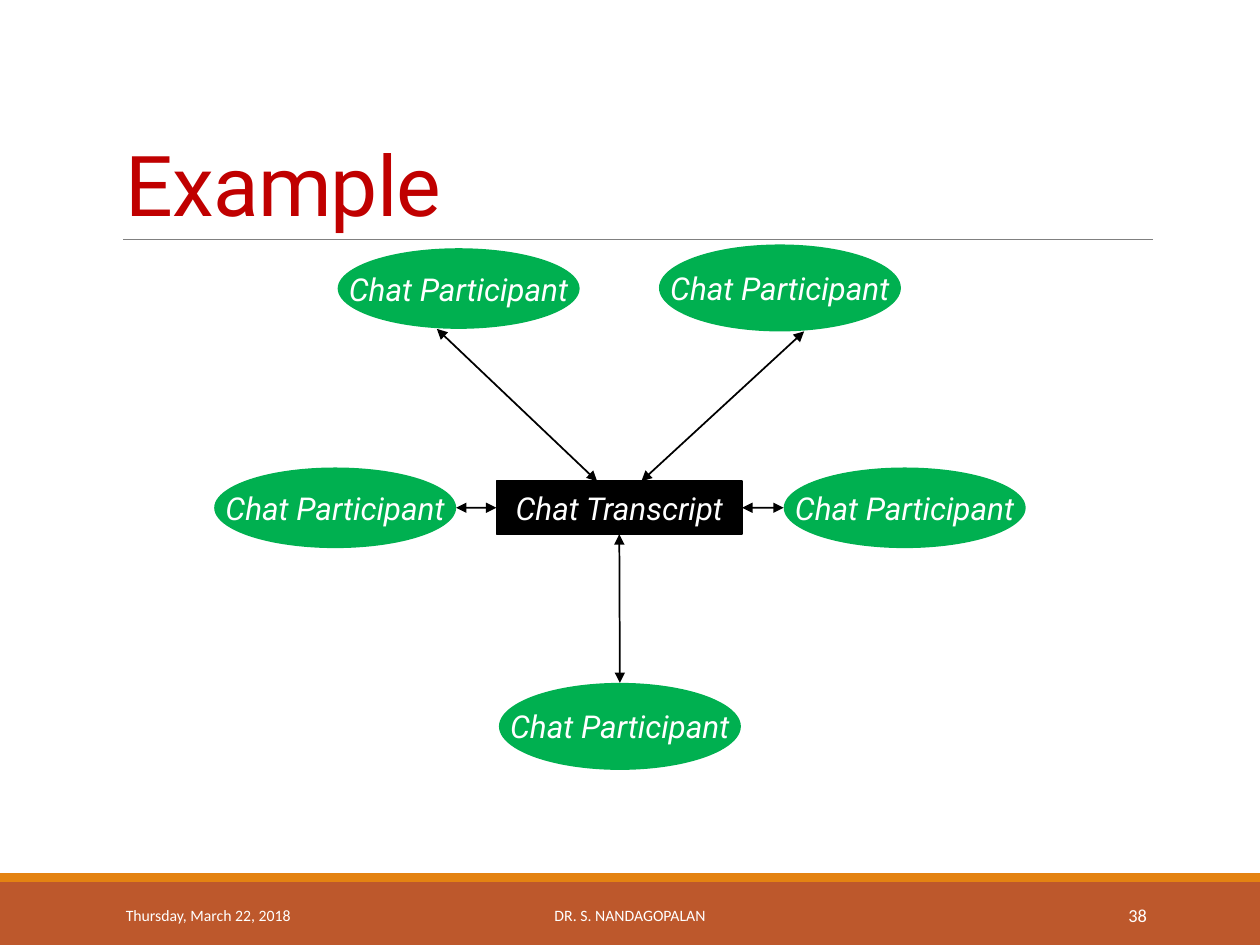
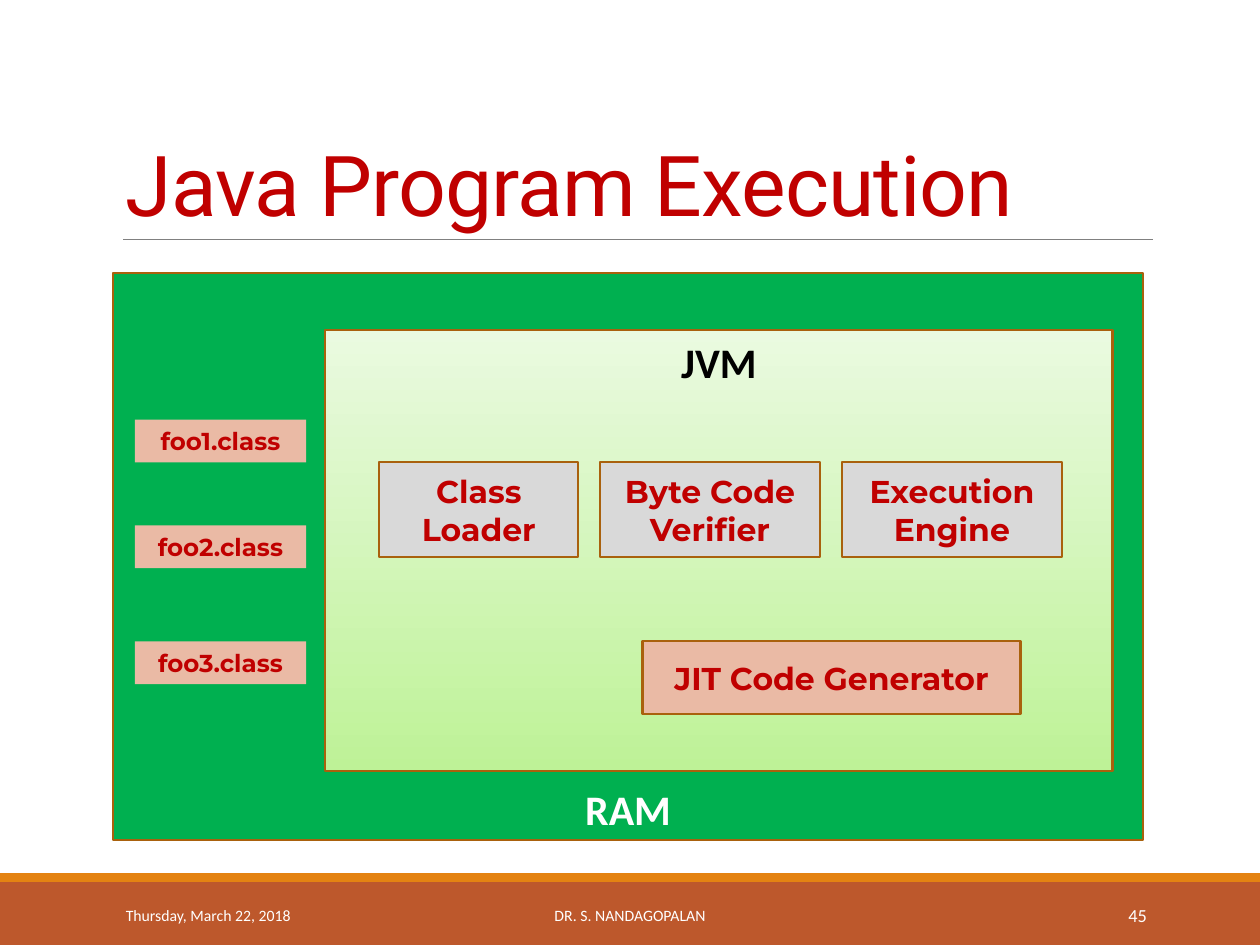
from lxml import etree
from pptx import Presentation
from pptx.dml.color import RGBColor
from pptx.enum.shapes import MSO_CONNECTOR, MSO_SHAPE
from pptx.enum.text import MSO_ANCHOR, PP_ALIGN
from pptx.oxml.ns import qn
from pptx.util import Inches, Pt

RECT, OVAL = MSO_SHAPE.RECTANGLE, MSO_SHAPE.OVAL
LINE = MSO_CONNECTOR.STRAIGHT
TOP, MID, LOW = MSO_ANCHOR.TOP, MSO_ANCHOR.MIDDLE, MSO_ANCHOR.BOTTOM
LEFT, MIDST, RIGHT = PP_ALIGN.LEFT, PP_ALIGN.CENTER, PP_ALIGN.RIGHT
WIDE, HIGH = Inches(10), Inches(7.5)

WHITE, BLACK, RED, GREEN = "FFFFFF", "000000", "C00000", "00B050"
RUST, AMBER, GREY, EDGE = "BD582C", "E48312", "808080", "A9610D"
PALE, PINK, LIME = "D9D9D9", "EABAA5", ("BEF297", "EAFAE0")

HEAD = dict(name="Roboto", size=48, color=RED)
FOOT = dict(name="Calibri", size=9, color=WHITE)
PAGE = FOOT | dict(size=10.5)
NODE = dict(name="Roboto", size=18, color=WHITE, italic=True)
AREA = dict(name="Calibri", size=24, color=WHITE, bold=True)
PART = dict(name="Montserrat", size=18, color=RED, bold=True)
FILE = PART | dict(size=14)

# All places are percent shares of slide width and height.
BANDS = [((0, 93.33, 100, 6.67), RUST), ((0, 92.4, 100, 0.93), AMBER)]
RULE = (9.8, 25.33), (91.5, 25.33)
TITLE = (9, 4.13, 82.5, 21.2)
FEET = [
    ("Thursday, March 22, 2018", 9, 20.3, LEFT, FOOT),
    ("DR. S. NANDAGOPALAN", 30.2, 39.6, MIDST, FOOT),
    ("{page}", 81.2, 10.8, RIGHT, PAGE),
]

HUB = "Chat Transcript", (39.4, 50.93, 19.5, 5.6)
GUEST, SPAN = "Chat Participant", 19.2
GUESTS = [
    (17, 49.47, 8.53, (1, 0.5), (0, 0.5)),
    (62.2, 49.47, 8.53, (0, 0.5), (1, 0.5)),
    (26.8, 26.27, 8.53, (0.41, 1), (0.41, 0)),
    (52.3, 25.87, 9.2, (0.6, 1), (0.59, 0)),
    (39.6, 72.27, 9.2, (0.5, 0), (0.5, 1)),
]

AREAS = [
    ("RAM", (9, 28.93, 81.7, 60), GREEN, LOW, AREA),
    ("JVM", (25.8, 34.93, 62.5, 46.67), LIME, TOP, AREA | dict(color=BLACK)),
]
STEPS = [("Class Loader", 15.8), ("Byte Code Verifier", 17.5),
         ("Execution Engine", 17.5)]
START, GAP = 30.1, 1.7
JIT = "JIT Code Generator", (51, 67.87, 30, 7.73)
FILES = [("foo1.class", 44.4), ("foo2.class", 55.6), ("foo3.class", 67.87)]


def tint(code):
    return RGBColor.from_string(code)


def place(*spots):
    return [int((HIGH if i % 2 else WIDE) * s / 100)
            for i, s in enumerate(spots)]


def spot(box, share):
    x, y, w, h = box
    return x + w * share[0], y + h * share[1]


def write(item, text, form, align=MIDST, anchor=MID, wrap=True):
    frame = item.text_frame
    frame.word_wrap, frame.vertical_anchor = wrap, anchor
    para = frame.paragraphs[0]
    para.alignment = align
    run = para.add_run()
    run.text = text
    for key, value in form.items():
        if key == "color":
            run.font.color.rgb = tint(value)
        else:
            setattr(run.font, key, Pt(value) if key == "size" else value)
    return para, run


def label(slide, box, *args, **more):
    return write(slide.shapes.add_textbox(*place(*box)), *args, **more)


def block(slide, box, fill, edge=None, weight=1.25, kind=RECT):
    item = slide.shapes.add_shape(kind, *place(*box))
    item.shadow.inherit = False
    if isinstance(fill, tuple):
        item.fill.gradient()
        item.fill.gradient_angle = 90
        for stop, code in zip(item.fill.gradient_stops, fill):
            stop.color.rgb = tint(code)
    else:
        item.fill.solid()
        item.fill.fore_color.rgb = tint(fill)
    if edge:
        item.line.color.rgb = tint(edge)
        item.line.width = Pt(weight)
    else:
        item.line.fill.background()
    return item


def link(slide, start, end, code, weight, heads=()):
    item = slide.shapes.add_connector(LINE, *place(*start, *end))
    item.line.color.rgb = tint(code)
    item.line.width = Pt(weight)
    props = item._element.spPr
    for head in heads:
        etree.SubElement(props.find(qn("a:ln")), qn(head), type="triangle")
    etree.SubElement(props, qn("a:effectLst"))


def base(deck, title, page):
    slide = deck.slides.add_slide(deck.slide_layouts[6])
    for box, fill in BANDS:
        block(slide, box, fill)
    link(slide, *RULE, GREY, 0.5)
    para, run = label(slide, TITLE, title, HEAD, LEFT, LOW)
    para.line_spacing = 0.85
    run.font._element.set("spc", "-50")
    for text, x, w, align, form in FEET:
        label(slide, (x, 94.13, w, 5.33), text.format(page=page), form, align)
    return slide


def chat(deck):
    slide = base(deck, "Example", 38)
    text, hub = HUB
    write(block(slide, hub, BLACK, BLACK, 1), text, NODE, wrap=False)
    for x, y, h, near, far in GUESTS:
        box = x, y, SPAN, h
        write(block(slide, box, GREEN, kind=OVAL), GUEST, NODE, wrap=False)
        link(slide, spot(box, near), spot(hub, far), BLACK, 1,
             ("a:headEnd", "a:tailEnd"))


def java(deck):
    slide = base(deck, "Java Program Execution", 45)
    for text, box, fill, anchor, form in AREAS:
        write(block(slide, box, fill, EDGE), text, form, anchor=anchor)
    x = START
    for text, w in STEPS:
        write(block(slide, (x, 48.93, w, 10), PALE, EDGE), text, PART)
        x += w + GAP
    text, box = JIT
    write(block(slide, box, PINK, EDGE), text, PART)
    for text, y in FILES:
        write(block(slide, (10.7, y, 13.6, 4.53), PINK), text, FILE, anchor=TOP)


def main():
    deck = Presentation()
    deck.slide_width, deck.slide_height = WIDE, HIGH
    chat(deck)
    java(deck)
    deck.save("out.pptx")


if __name__ == "__main__":
    main()
